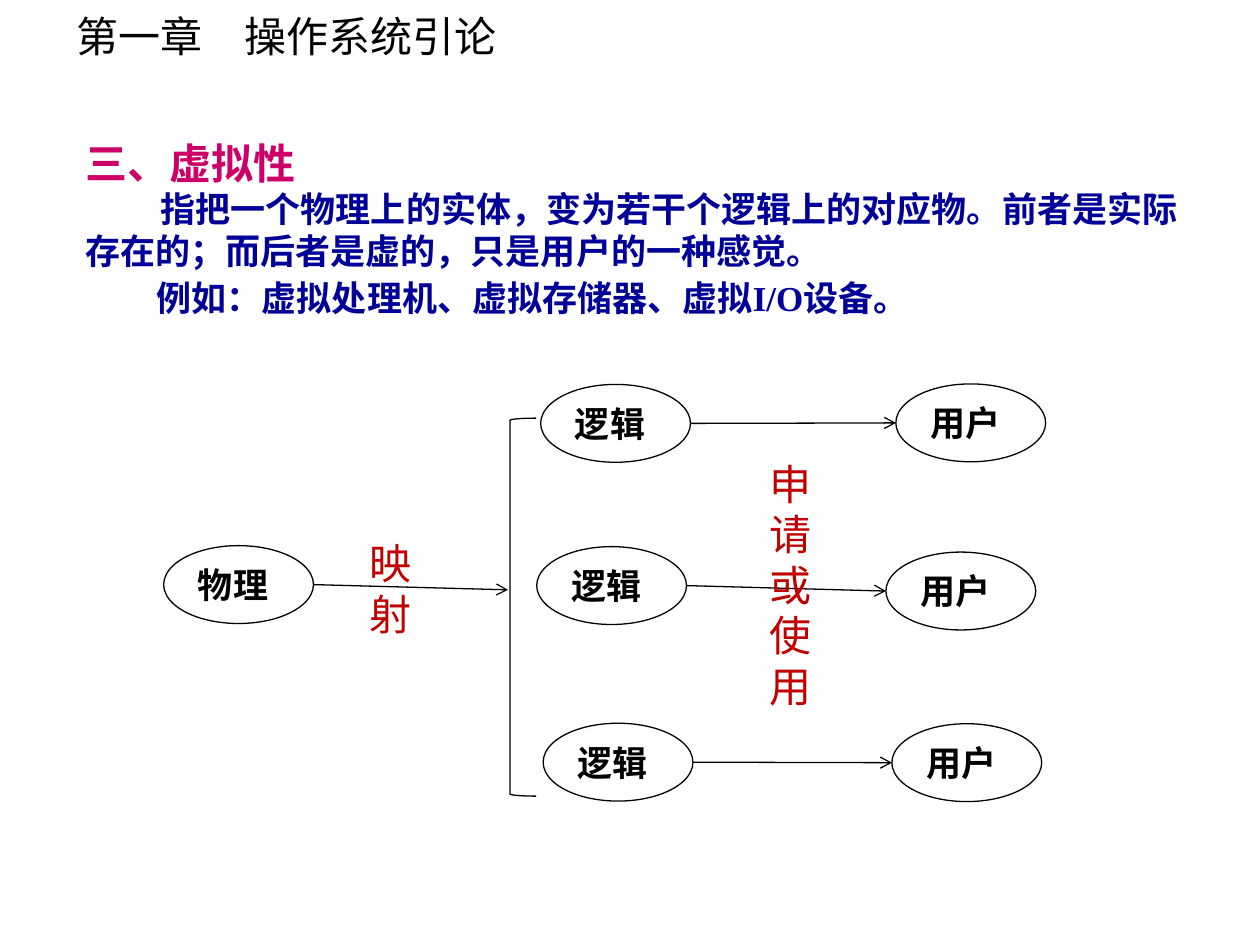
from lxml.etree import SubElement
from pptx import Presentation
from pptx.dml.color import RGBColor
from pptx.enum.shapes import MSO_CONNECTOR, MSO_SHAPE
from pptx.enum.text import MSO_ANCHOR, PP_ALIGN
from pptx.oxml.ns import qn
from pptx.util import Cm, Pt

BLACK = RGBColor(0x00, 0x00, 0x00)
MAGENTA = RGBColor(0xCC, 0x00, 0x66)
NAVY = RGBColor(0x00, 0x00, 0x99)
RED = RGBColor(0xC0, 0x00, 0x00)
SANS = "Noto Sans CJK SC"
SERIF = "Times New Roman"

TITLE = "第一章　操作系统引论"
HEADING = "三、虚拟性"
# text, first-line indent (cm), space before (pt)
BODY = [
    ("指把一个物理上的实体，变为若干个逻辑上的对应物。前者是实际存在的；"
     "而后者是虚的，只是用户的一种感觉。", 1.52, 0),
    ("例如：虚拟处理机、虚拟存储器、虚拟I/O设备。", 1.44, 2.5),
]
MAPPING = ["映射"]
REQUEST = ["申请", "或", "使用"]

# Left and top of each ellipse, in cm
NODE_WIDTH, NODE_HEIGHT = 3.02, 1.57
PHYSICAL = (3.30, 11.00)
LOGICAL_USER_PAIRS = [
    ((10.90, 7.75), (18.06, 7.74)),
    ((10.82, 11.02), (17.86, 11.13)),
    ((10.95, 14.58), (17.98, 14.59)),
]
BRACKET = (10.28, 8.43, 0.53, 7.62)
BRACKET_ARROW_END = (10.24, 11.89)


def add_run(paragraph, text, size, font, color, bold=False):
    run = paragraph.add_run()
    run.text = text
    run.font.size = Pt(size)
    run.font.name = font
    run.font.bold = bold
    run.font.color.rgb = color


def add_text_box(slide, box, wrap=True):
    frame = slide.shapes.add_textbox(*map(Cm, box)).text_frame
    frame.word_wrap = wrap
    return frame


def next_paragraph(frame, index):
    return frame.add_paragraph() if index else frame.paragraphs[0]


def add_outline(slide, preset, box):
    shape = slide.shapes.add_shape(preset, *map(Cm, box))
    shape.shadow.inherit = False
    shape.fill.background()
    shape.line.color.rgb = BLACK
    shape.line.width = Pt(0.75)
    return shape


def add_node(slide, position, text):
    node = add_outline(slide, MSO_SHAPE.OVAL, (*position, NODE_WIDTH, NODE_HEIGHT))
    frame = node.text_frame
    frame.word_wrap = True
    frame.vertical_anchor = MSO_ANCHOR.MIDDLE
    paragraph = frame.paragraphs[0]
    paragraph.alignment = PP_ALIGN.LEFT
    add_run(paragraph, text, 20, SERIF, BLACK, bold=True)


def left_end(position):
    return position[0], position[1] + NODE_HEIGHT / 2


def right_end(position):
    return position[0] + NODE_WIDTH, position[1] + NODE_HEIGHT / 2


def add_arrow(slide, start, end):
    arrow = slide.shapes.add_connector(MSO_CONNECTOR.STRAIGHT, *map(Cm, (*start, *end)))
    arrow.line.color.rgb = BLACK
    arrow.line.width = Pt(0.75)
    SubElement(arrow.line._get_or_add_ln(), qn("a:tailEnd"), type="arrow")
    SubElement(arrow._element.spPr, qn("a:effectLst"))


def add_label(slide, box, lines, alignment):
    frame = add_text_box(slide, box)
    for index, text in enumerate(lines):
        paragraph = next_paragraph(frame, index)
        paragraph.alignment = alignment
        add_run(paragraph, text, 24, SERIF, RED)


def add_explanation(slide):
    frame = add_text_box(slide, (1.47, 2.34, 23.06, 4.47))
    heading = frame.paragraphs[0]
    heading.alignment = PP_ALIGN.JUSTIFY
    heading.line_spacing = 1.3
    add_run(heading, HEADING, 24, SANS, MAGENTA, bold=True)
    for text, indent, space_before in BODY:
        paragraph = frame.add_paragraph()
        paragraph.space_before = Pt(space_before)
        paragraph._p.get_or_add_pPr().set("indent", str(Cm(indent)))
        add_run(paragraph, text, 20, SERIF, NAVY, bold=True)


def main():
    presentation = Presentation()
    presentation.slide_width, presentation.slide_height = Cm(25.4), Cm(19.05)
    slide = presentation.slides.add_slide(presentation.slide_layouts[6])

    title = add_text_box(slide, (1.30, 0.08, 9.17, 1.27), wrap=False)
    add_run(title.paragraphs[0], TITLE, 24, SANS, BLACK)
    add_explanation(slide)

    add_node(slide, PHYSICAL, "物理")
    add_outline(slide, MSO_SHAPE.LEFT_BRACKET, BRACKET)
    add_arrow(slide, right_end(PHYSICAL), BRACKET_ARROW_END)
    for logical, user in LOGICAL_USER_PAIRS:
        add_node(slide, logical, "逻辑")
        add_node(slide, user, "用户")
        add_arrow(slide, right_end(logical), left_end(user))

    add_label(slide, (7.19, 10.72, 1.85, 2.29), MAPPING, PP_ALIGN.LEFT)
    add_label(slide, (15.01, 9.12, 1.85, 5.33), REQUEST, PP_ALIGN.CENTER)
    presentation.save("out.pptx")


if __name__ == "__main__":
    main()
